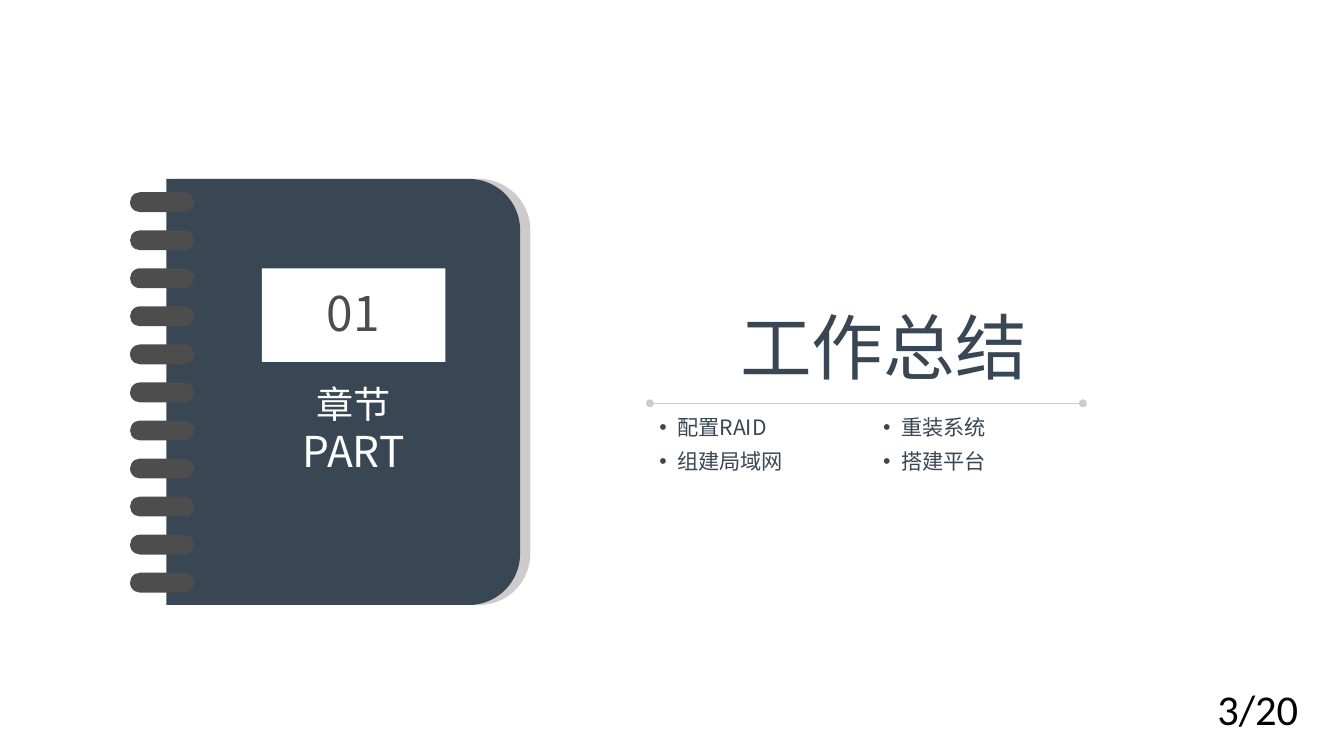
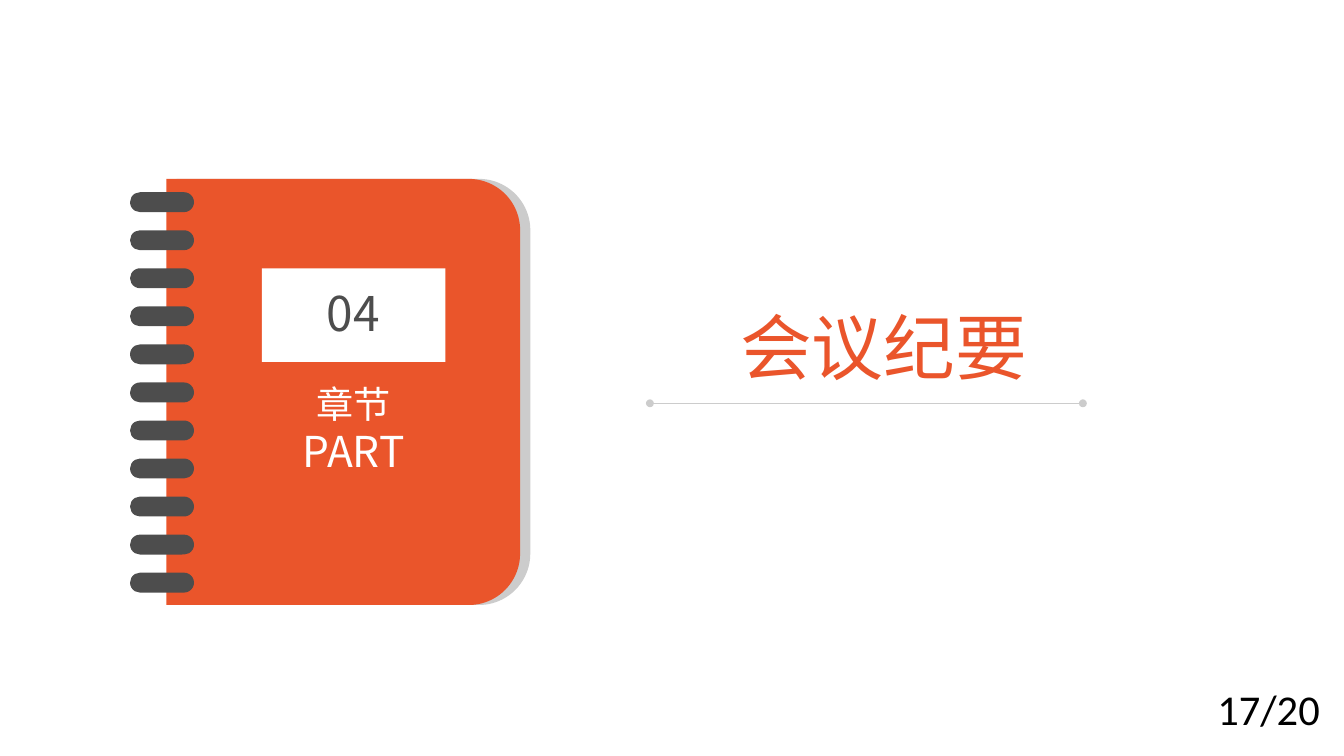
from lxml.etree import SubElement
from pptx import Presentation
from pptx.dml.color import RGBColor
from pptx.enum.shapes import MSO_CONNECTOR, MSO_SHAPE
from pptx.enum.text import MSO_ANCHOR, MSO_AUTO_SIZE, PP_ALIGN
from pptx.oxml.ns import qn
from pptx.util import Pt

SLIDE_WIDTH, SLIDE_HEIGHT = 1012.5, 569.5
CHINESE_FONT, NUMBER_FONT = "Noto Sans CJK SC", "Calibri"
NAVY, ORANGE = "394754", "EA552B"
GRAY, CHARCOAL, WHITE, BLACK = "CCCCCC", "4D4D4D", "FFFFFF", "000000"
TITLE_ONLY, TWO_CONTENT = 5, 3
PAGE_COUNT = 20
RING_COUNT, RING_STEP = 11, 28.66
NOTEBOOK_BOX = (98, 134.8, 301.5, 321)
HEADING_BOX = (489.6, 235.4, 352, 131)
PAGE_NUMBER_BOX = (910, 511.2, 102, 44)

SECTIONS = [
    {"number": "01", "title": "工作总结", "page": 3, "color": NAVY,
     "columns": [["配置RAID", "组建局域网"], ["重装系统", "搭建平台"]]},
    {"number": "04", "title": "会议纪要", "page": 17, "color": ORANGE, "columns": []},
]


def rgb(value):
    """Turn a hex string into a colour."""
    return RGBColor.from_string(value)


def place(shape, left, top, width, height):
    """Move and size a shape in points."""
    shape.left, shape.top = Pt(left), Pt(top)
    shape.width, shape.height = Pt(width), Pt(height)


def prepare_frame(shape, inset_x=0, inset_y=0):
    """Give a text shape fixed size, top anchor and insets."""
    frame = shape.text_frame
    frame.word_wrap = True
    frame.auto_size = MSO_AUTO_SIZE.NONE
    frame.vertical_anchor = MSO_ANCHOR.TOP
    frame.margin_left = frame.margin_right = Pt(inset_x)
    frame.margin_top = frame.margin_bottom = Pt(inset_y)
    return frame


def write(paragraph, text, size, color, font=CHINESE_FONT, align=PP_ALIGN.CENTER,
          before=0, spacing=0.9):
    """Add one formatted run to a paragraph."""
    paragraph.alignment = align
    paragraph.line_spacing = spacing
    paragraph.space_before = Pt(before)
    run = paragraph.add_run()
    run.text = text
    run.font.size = Pt(size)
    run.font.bold = False
    run.font.color.rgb = rgb(color)
    run.font.name = font
    SubElement(run._r.get_or_add_rPr(), qn("a:ea"), typeface=font)


def add_bullet(paragraph, indent):
    """Give a paragraph a hanging round bullet."""
    properties = paragraph._p.get_or_add_pPr()
    properties.set("marL", str(Pt(indent)))
    properties.set("indent", str(-Pt(indent)))
    SubElement(properties, qn("a:buChar"), char="•")


def add_text(shapes, box):
    """Add a text box without insets and return its frame."""
    return prepare_frame(shapes.add_textbox(*map(Pt, box)))


def add_block(shapes, kind, box, color):
    """Add a flat filled shape without outline."""
    shape = shapes.add_shape(kind, *map(Pt, box))
    shape.shadow.inherit = False
    shape.fill.solid()
    shape.fill.fore_color.rgb = rgb(color)
    shape.line.fill.background()
    return shape


def add_cover(shapes, left, top, width, height, color):
    """Add a notebook cover with round right corners."""
    turned_box = (left + (width - height) / 2, top + (height - width) / 2, height, width)
    cover = add_block(shapes, MSO_SHAPE.ROUND_2_SAME_RECTANGLE, turned_box, color)
    cover.adjustments[0] = 0.145
    cover.rotation = 90


def add_notebook(slide, box, number, color):
    """Draw the ring notebook with its section number."""
    left, top, width, height = box
    shapes = slide.shapes.add_group_shape().shapes
    cover_width = 266.4
    back_left = left + width - cover_width
    add_cover(shapes, back_left, top, cover_width, height, GRAY)
    add_cover(shapes, back_left - 7.7, top, cover_width, height, color)
    add_block(shapes, MSO_SHAPE.RECTANGLE, (left + 99.2, top + 67.3, 138.3, 70.5), WHITE)
    for index in range(RING_COUNT):
        ring_box = (left, top + 10 + index * RING_STEP, 48.2, 15)
        ring = add_block(shapes, MSO_SHAPE.ROUNDED_RECTANGLE, ring_box, CHARCOAL)
        ring.adjustments[0] = 0.5
    number_frame = add_text(shapes, (left + 102.9, top + 84.1, 130.3, 48))
    write(number_frame.paragraphs[0], number, 36, CHARCOAL)
    label_frame = add_text(shapes, (left + 113.7, top + 156.1, 109.4, 84))
    write(label_frame.paragraphs[0], "章节", 28, WHITE)
    write(label_frame.add_paragraph(), "PART", 32, WHITE, before=3.5)


def add_rule(slide, left, top, width):
    """Draw the thin rule with round ends."""
    rule = slide.shapes.add_connector(
        MSO_CONNECTOR.STRAIGHT, Pt(left), Pt(top), Pt(left + width), Pt(top))
    rule.line.color.rgb = rgb(GRAY)
    rule.line.width = Pt(1)
    line = rule.line._get_or_add_ln()
    for end in ("a:headEnd", "a:tailEnd"):
        SubElement(line, qn(end), type="oval")
    SubElement(rule._element.spPr, qn("a:effectLst"))


def add_heading(slide, box, title, columns, color):
    """Place the title, the rule and the topic lists."""
    left, top, width, height = box
    place(slide.shapes.title, left, top, width, 66)
    title_frame = prepare_frame(slide.shapes.title)
    write(title_frame.paragraphs[0], title, 54, color)
    add_rule(slide, left, top + 68.4, 326.2)
    bodies = list(slide.placeholders)[1:]
    for index, (body, topics) in enumerate(zip(bodies, columns)):
        place(body, left + index * 168.5, top + 74.9, 150, height - 74.9)
        frame = prepare_frame(body, 7.2, 3.6)
        for row, topic in enumerate(topics):
            paragraph = frame.add_paragraph() if row else frame.paragraphs[0]
            add_bullet(paragraph, 13.5)
            write(paragraph, topic, 16, color, align=PP_ALIGN.LEFT, before=8.8 if row else 0)


def add_page_number(slide, box, page):
    """Write the page and page count in the corner."""
    frame = prepare_frame(slide.shapes.add_textbox(*map(Pt, box)), 7.2, 3.6)
    write(frame.paragraphs[0], f"{page}/{PAGE_COUNT}", 32, BLACK, NUMBER_FONT,
          PP_ALIGN.LEFT, spacing=1.0)


def add_section_slide(presentation, section):
    """Build one section divider slide."""
    layout = TWO_CONTENT if section["columns"] else TITLE_ONLY
    slide = presentation.slides.add_slide(presentation.slide_layouts[layout])
    add_heading(slide, HEADING_BOX, section["title"], section["columns"], section["color"])
    add_notebook(slide, NOTEBOOK_BOX, section["number"], section["color"])
    add_page_number(slide, PAGE_NUMBER_BOX, section["page"])


def main():
    """Build and save the presentation."""
    presentation = Presentation()
    presentation.slide_width = Pt(SLIDE_WIDTH)
    presentation.slide_height = Pt(SLIDE_HEIGHT)
    for section in SECTIONS:
        add_section_slide(presentation, section)
    presentation.save("out.pptx")


if __name__ == "__main__":
    main()
